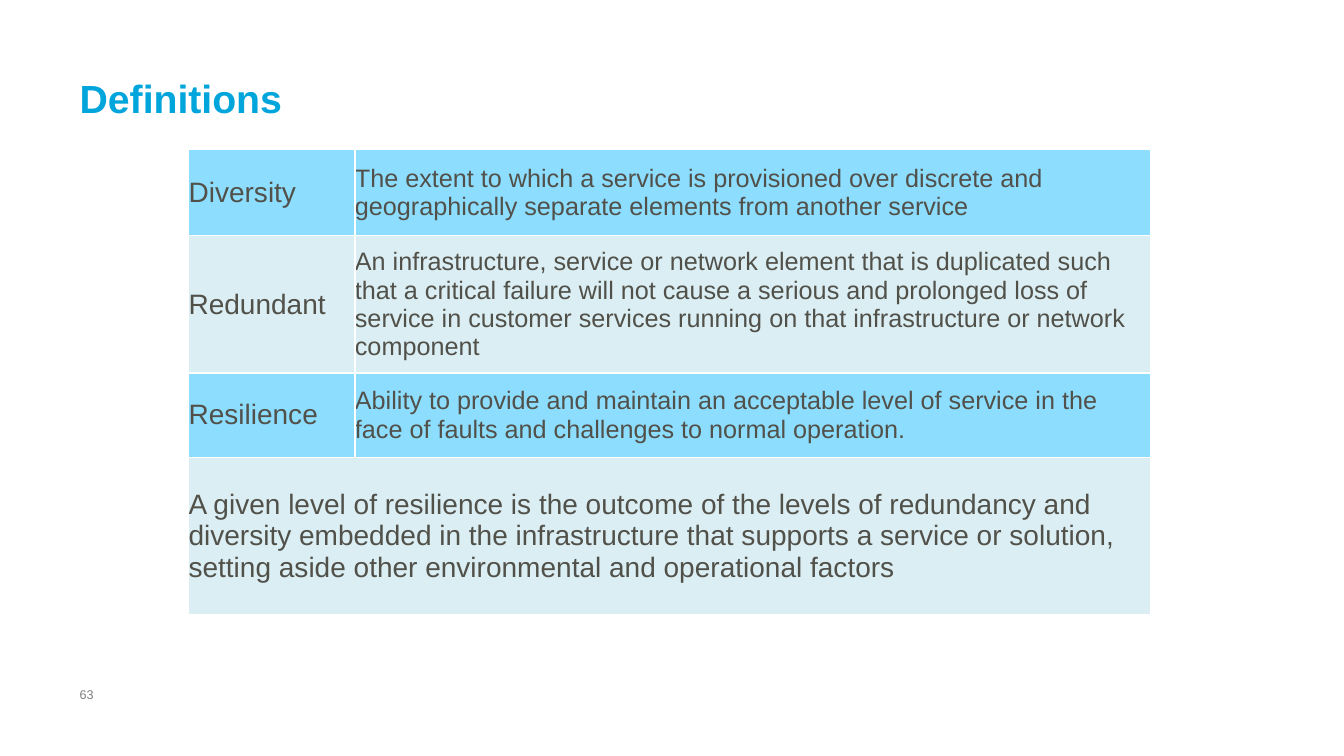
from lxml import etree
from pptx import Presentation
from pptx import util as u
from pptx.dml import color
from pptx.enum import text
from pptx.oxml import ns

PX = 9144
THEME = {
    "font": "Arial",
    "title": {"size": 28, "color": "00A5DB", "bold": True},
    "term": {"size": 20, "color": "515049", "bold": False},
    "meaning": {"size": 18, "color": "515049", "bold": False},
    "number": {"size": 9, "color": "808080", "bold": False},
    "bands": ["8DDDFF", "DAEEF3"],
    "border": "FFFFFF",
}
DEFINITIONS = [
    ("Diversity", "The extent to which a service is provisioned over discrete and geographically separate elements from another service"),
    ("Redundant", "An infrastructure, service or network element that is duplicated such that a critical failure will not cause a serious and prolonged loss of service in customer services running on that infrastructure or network component"),
    ("Resilience", "Ability to provide and maintain an acceptable level of service in the face of faults and challenges to normal operation."),
    ("A given level of resilience is the outcome of the levels of redundancy and diversity embedded in the infrastructure that supports a service or solution, setting aside other environmental and operational factors", ""),
]
COLUMN_WIDTHS = [165, 789]
ROW_HEIGHTS = [86, 136, 84, 156]


def write(frame, wording, style):
    para = frame.paragraphs[0]
    span = para.add_run()
    span.text = wording
    formats = {"name": THEME["font"], "size": u.Pt(style["size"]), "bold": style["bold"]}
    for name, value in formats.items():
        setattr(span.font, name, value)
    span.font.color.rgb = color.RGBColor.from_string(style["color"])
    return para


def add_border(cell, side, width):
    properties = cell._tc.get_or_add_tcPr()
    line = etree.SubElement(properties, ns.qn(f"a:ln{side}"), w=str(u.Pt(width)))
    fill = etree.SubElement(line, ns.qn("a:solidFill"))
    etree.SubElement(fill, ns.qn("a:srgbClr"), val=THEME["border"])


deck = Presentation()
deck.slide_width, deck.slide_height = 1333 * PX, 750 * PX
page = deck.slides.add_slide(deck.slide_layouts[6])

labels = [
    ("63", "number", (79, 681, 15, 15), False, text.MSO_ANCHOR.TOP, 1),
    ("Definitions", "title", (79, 59, 1181, 83), True, text.MSO_ANCHOR.MIDDLE, 0.85),
]
for wording, style, place, wrap, anchor, spacing in labels:
    box = page.shapes.add_textbox(*(length * PX for length in place))
    frame = box.text_frame
    formats = {"margin_left": 0, "margin_top": 0, "margin_right": 0, "margin_bottom": 0,
               "word_wrap": wrap, "vertical_anchor": anchor}
    for name, value in formats.items():
        setattr(frame, name, value)
    write(frame, wording, THEME[style]).line_spacing = spacing

table = page.shapes.add_table(
    len(ROW_HEIGHTS), len(COLUMN_WIDTHS), 187 * PX, 148 * PX,
    sum(COLUMN_WIDTHS) * PX, sum(ROW_HEIGHTS) * PX).table
table.first_row = False
table.horz_banding = False
for column, width in zip(table.columns, COLUMN_WIDTHS):
    column.width = width * PX
for row, height in zip(table.rows, ROW_HEIGHTS):
    row.height = height * PX
table.cell(3, 0).merge(table.cell(3, 1))

for row_index, definition in enumerate(DEFINITIONS):
    band = THEME["bands"][row_index % 2]
    for column_index, wording in enumerate(definition):
        cell = table.cell(row_index, column_index)
        for side in "LRTB":
            add_border(cell, side, 1.5 if side == "T" and row_index == 0 else 1)
        formats = {"margin_left": 0, "margin_top": 0, "margin_right": 0, "margin_bottom": 0,
                   "vertical_anchor": text.MSO_ANCHOR.MIDDLE}
        for name, value in formats.items():
            setattr(cell, name, value)
        cell.fill.solid()
        cell.fill.fore_color.rgb = color.RGBColor.from_string(band)
        if wording:
            write(cell.text_frame, wording, THEME[("term", "meaning")[column_index]])

deck.save("out.pptx")
